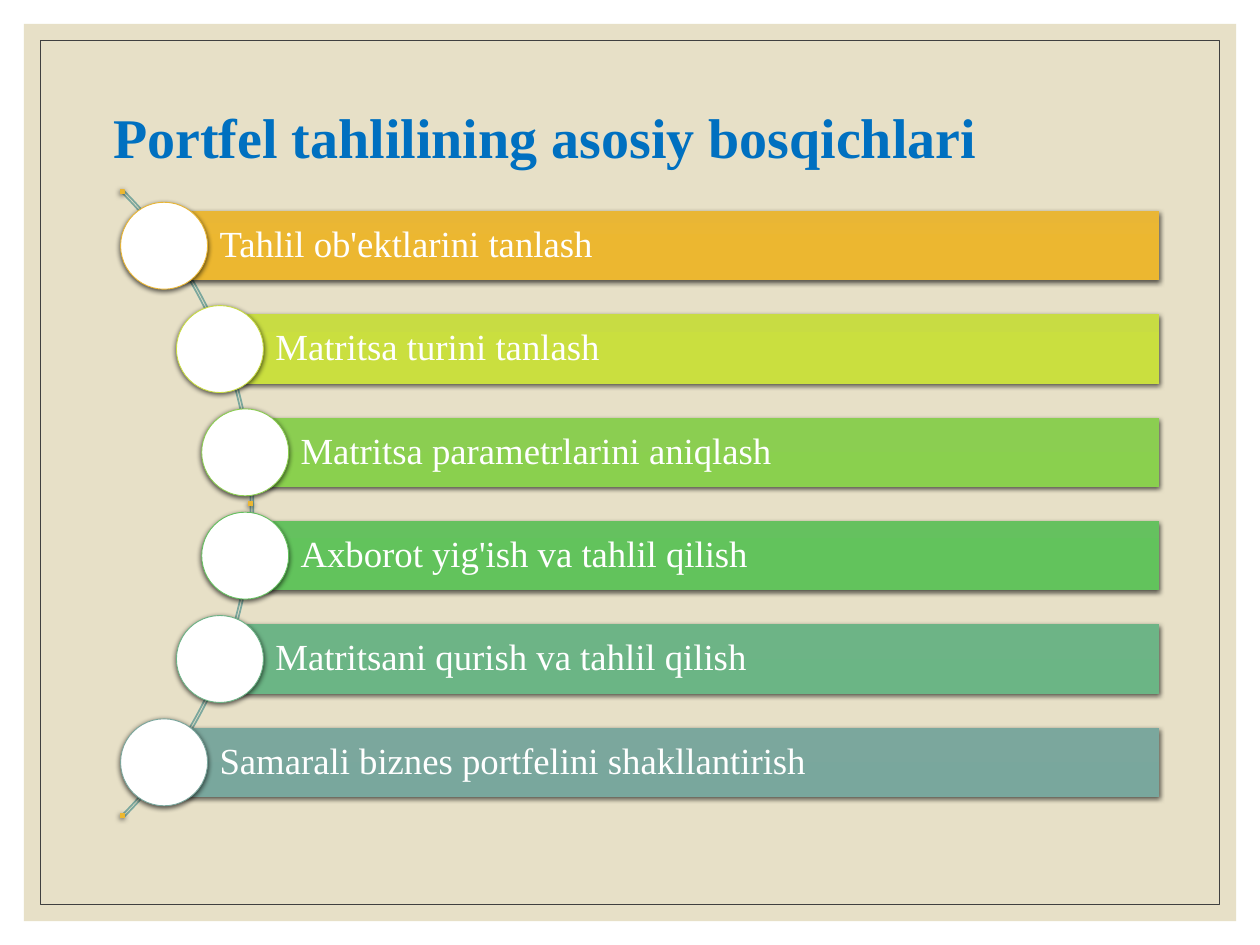
from dataclasses import dataclass
from math import sqrt

from lxml import etree
from pptx import Presentation
from pptx.dml.color import RGBColor
from pptx.enum.shapes import MSO_SHAPE
from pptx.enum.text import MSO_ANCHOR, PP_ALIGN
from pptx.oxml import parse_xml
from pptx.oxml.ns import qn
from pptx.util import Inches, Pt

RECTANGLE = MSO_SHAPE.RECTANGLE
OVAL = MSO_SHAPE.OVAL
BLOCK_ARC = MSO_SHAPE.BLOCK_ARC
MIDDLE = MSO_ANCHOR.MIDDLE
LEFT = PP_ALIGN.LEFT
DRAWING_NS = "http://schemas.openxmlformats.org/drawingml/2006/main"


@dataclass(frozen=True)
class Theme:
    font: str = "Times New Roman"
    title_size: float = 32
    stage_size: float = 21
    title: str = "0070C0"
    white: str = "FFFFFF"
    paper: str = "E7E0C7"
    frame: str = "404040"
    arc: str = "7BA79D"
    shadow: str = "000000"
    marker: tuple = ("E9B635", "ECB730", "EBB630")


STAGES = [
    ("Tahlil ob'ektlarini tanlash", ("E9B635", "ECB730", "EBB630")),
    ("Matritsa turini tanlash", ("C8DC43", "CADF3F", "C9DE3F")),
    ("Matritsa parametrlarini aniqlash", ("8BCE51", "8AD04E", "8ACF4D")),
    ("Axborot yig'ish va tahlil qilish", ("65C15F", "62C35C", "62C25C")),
    ("Matritsani qurish va tahlil qilish", ("6DB486", "6BB585", "6AB484")),
    ("Samarali biznes portfelini shakllantirish", ("7BA79D", "79A79D", "79A79C")),
]


class StageSlide:
    def __init__(self, slide, theme):
        self.slide = slide
        self.theme = theme

    def shape(self, preset, left, top, width, height, fill=None, line=None, line_width=0.5):
        shape = self.slide.shapes.add_shape(
            preset, Inches(left), Inches(top), Inches(width), Inches(height))
        shape.shadow.inherit = False
        if fill:
            shape.fill.solid()
            shape.fill.fore_color.rgb = RGBColor.from_string(fill)
        else:
            shape.fill.background()
        if line:
            shape.line.color.rgb = RGBColor.from_string(line)
            shape.line.width = Pt(line_width)
        else:
            shape.line.fill.background()
        return shape

    def add_shadow(self, shape):
        effects = shape._element.spPr.find(qn("a:effectLst"))
        shadow = etree.SubElement(effects, qn("a:outerShdw"), blurRad=str(Pt(3)),
                                  dist=str(Pt(1)), dir="5400000", rotWithShape="0")
        color = etree.SubElement(shadow, qn("a:srgbClr"), val=self.theme.shadow)
        etree.SubElement(color, qn("a:alpha"), val="63000")

    def gradient_box(self, left, top, width, height, colors):
        """Add a rectangle shaded from top to bottom, with a soft shadow."""
        box = self.shape(RECTANGLE, left, top, width, height)
        stops = "".join(
            f'<a:gs pos="{position}"><a:srgbClr val="{color}"/></a:gs>'
            for position, color in zip((0, 50000, 100000), colors))
        gradient = parse_xml(
            f'<a:gradFill xmlns:a="{DRAWING_NS}" rotWithShape="1"><a:gsLst>{stops}</a:gsLst>'
            '<a:lin ang="5400000" scaled="0"/></a:gradFill>')
        properties = box._element.spPr
        properties.replace(properties.find(qn("a:noFill")), gradient)
        self.add_shadow(box)
        return box

    def set_text(self, shape, text, size, color, bold=False):
        frame = shape.text_frame
        frame.word_wrap = True
        frame.vertical_anchor = MIDDLE
        paragraph = frame.paragraphs[0]
        paragraph.text = text
        paragraph.alignment = LEFT
        paragraph.line_spacing = 0.9
        font = paragraph.font
        font.name = self.theme.font
        font.size = Pt(size)
        font.bold = bold
        font.color.rgb = RGBColor.from_string(color)

    def title(self, text):
        box = self.slide.shapes.add_textbox(Inches(0.8), Inches(0.7), Inches(8.4), Inches(0.82))
        self.set_text(box, text, self.theme.title_size, self.theme.title, bold=True)

    def arc(self, center_x, center_y, radius):
        """Add the thin arc that spans 45 degrees either side of the horizontal."""
        arc = self.shape(BLOCK_ARC, center_x - radius, center_y - radius,
                         2 * radius, 2 * radius, line=self.theme.arc, line_width=1)
        for index, value in enumerate((189, 27, 0.003)):
            arc.adjustments[index] = value

    def stage(self, text, colors, center_x, center_y):
        right, height, diameter = 9.2, 0.55, 0.69
        bar = self.gradient_box(center_x, center_y - height / 2, right - center_x, height, colors)
        frame = bar.text_frame
        frame.margin_left = Inches(0.44)
        frame.margin_top = frame.margin_right = frame.margin_bottom = Inches(0.06)
        self.set_text(bar, text, self.theme.stage_size, self.theme.white)
        circle = self.shape(OVAL, center_x - diameter / 2, center_y - diameter / 2,
                            diameter, diameter, self.theme.white, colors[0])
        self.add_shadow(circle)

    def marker(self, left, top):
        self.gradient_box(left, top, 0.04, 0.04, self.theme.marker)


def main():
    theme = Theme()
    presentation = Presentation()
    presentation.slide_width, presentation.slide_height = Inches(10), Inches(7.5)
    page = StageSlide(presentation.slides.add_slide(presentation.slide_layouts[6]), theme)

    page.shape(RECTANGLE, 0.19, 0.19, 9.62, 7.12, fill=theme.paper)
    page.shape(RECTANGLE, 0.32, 0.32, 9.36, 6.86, line=theme.frame)
    page.title("Portfel tahlilining asosiy bosqichlari")

    arc_x, arc_y, pitch, stage_radius = -1.51, 4, 0.82, 3.48
    page.arc(arc_x, arc_y, 3.52)
    for index, (text, colors) in enumerate(STAGES):
        offset = (index - (len(STAGES) - 1) / 2) * pitch
        center_x = arc_x + sqrt(stage_radius ** 2 - offset ** 2)
        page.stage(text, colors, center_x, arc_y + offset)

    for left, top in ((0.95, 1.5), (1.97, 3.98), (0.95, 6.45)):
        page.marker(left, top)

    presentation.save("out.pptx")


if __name__ == "__main__":
    main()
